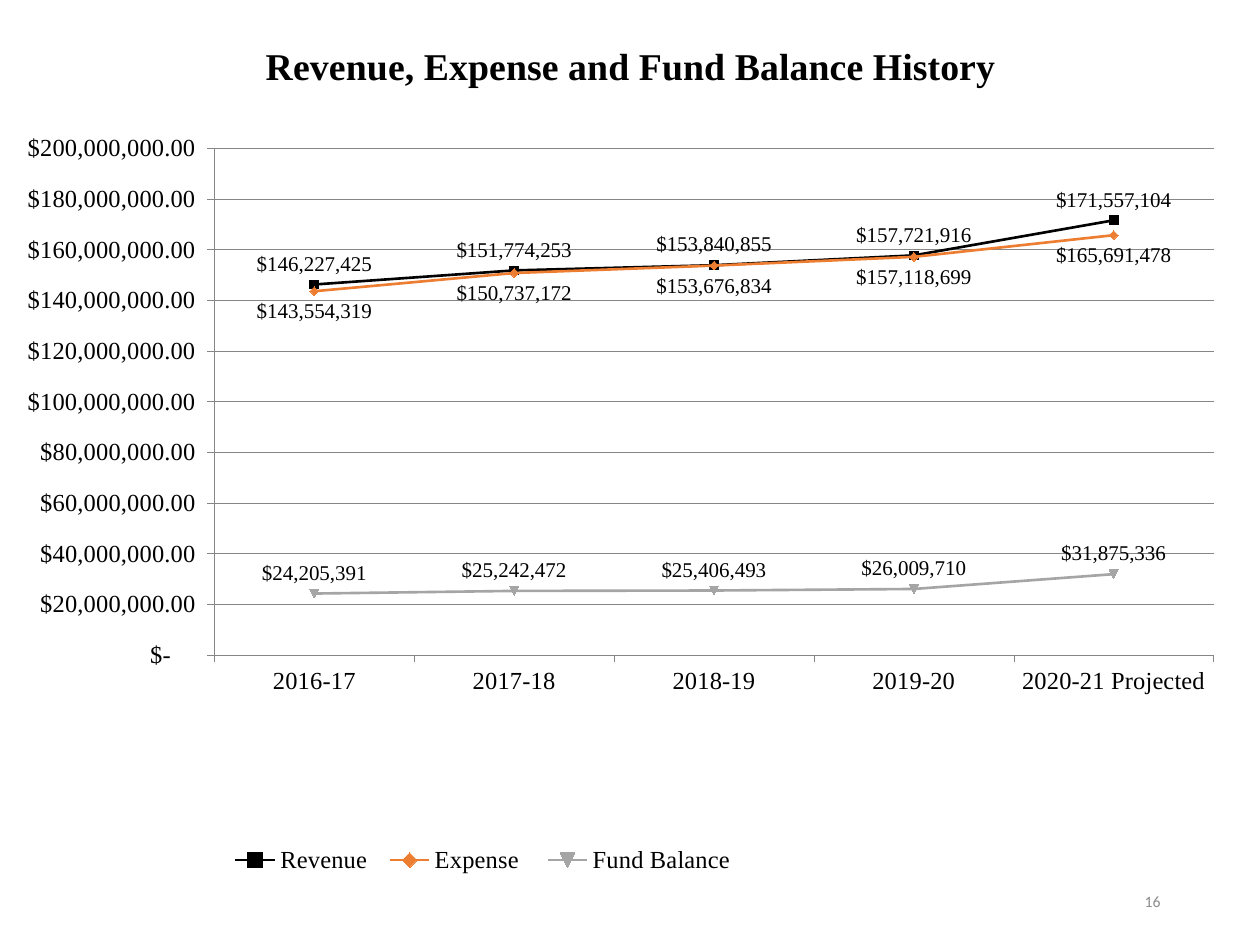
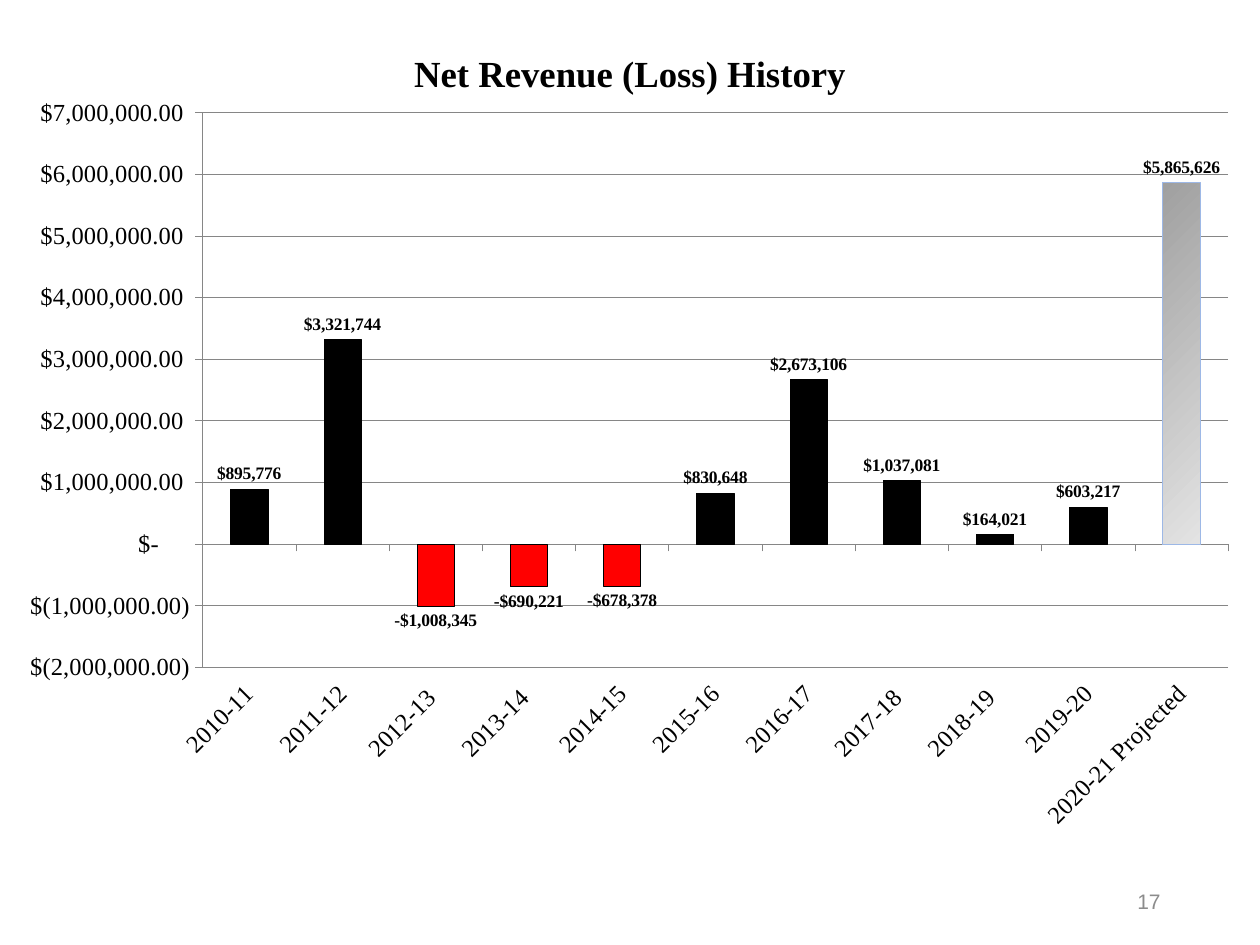
from dataclasses import dataclass
from typing import Any, Optional

from lxml.etree import SubElement
from pptx import Presentation
from pptx.chart.chart import Chart
from pptx.chart.data import CategoryChartData
from pptx.dml.color import RGBColor
from pptx.enum.chart import (
    XL_CHART_TYPE, XL_LABEL_POSITION, XL_LEGEND_POSITION, XL_TICK_LABEL_POSITION, XL_TICK_MARK)
from pptx.enum.text import MSO_ANCHOR, PP_ALIGN
from pptx.oxml.ns import qn
from pptx.slide import Slide
from pptx.util import Inches, Pt

BLACK = RGBColor(0x00, 0x00, 0x00)
ORANGE = RGBColor(0xED, 0x7D, 0x31)
GRAY = RGBColor(0xA5, 0xA5, 0xA5)
RED = RGBColor(0xFF, 0x00, 0x00)
GRID_GRAY = RGBColor(0x86, 0x86, 0x86)
NUMBER_GRAY = RGBColor(0x8C, 0x8C, 0x8C)
PROJECTED_TOP = RGBColor(0xA0, 0xA0, 0xA0)
PROJECTED_BOTTOM = RGBColor(0xE3, 0xE3, 0xE3)
PROJECTED_EDGE = RGBColor(0x9D, 0xB8, 0xE6)

SERIF = "Times New Roman"
AXIS_FORMAT = '_("$"* #,##0.00_);_("$"* \\(#,##0.00\\);_("$"* "-"??_);_(@_)'
LABEL_FORMAT = '"$"#,##0'
AXIS_FONT = {"name": SERIF, "size": Pt(14), "bold": False}


@dataclass(frozen=True)
class Measure:
    """One charted series with its colour and label side."""
    name: str
    values: tuple[int, ...]
    color: RGBColor
    label_side: XL_LABEL_POSITION


@dataclass(frozen=True)
class History:
    """One slide with a titled history chart; places are percentages of the chart."""
    title: str
    title_size: float
    title_place: tuple[float, ...]
    kind: XL_CHART_TYPE
    frame: tuple[float, float, float, float]
    plot_place: tuple[float, ...]
    years: tuple[str, ...]
    measures: tuple[Measure, ...]
    scale: dict[str, int]
    label_font: dict[str, Any]
    page: str
    page_font: dict[str, Any]
    legend_place: Optional[tuple[float, ...]] = None
    year_rotation: int = 0


HISTORIES = (
    History(
        title="Revenue, Expense and Fund Balance History",
        title_size=21.6,
        title_place=(19.4, 2.8),
        kind=XL_CHART_TYPE.LINE_MARKERS,
        frame=(0.17, 0.08, 9.67, 7.08),
        plot_place=(15.75, 15.5, 82.1, 56.8),
        years=("2016-17", "2017-18", "2018-19", "2019-20", "2020-21 Projected"),
        measures=(
            Measure("Revenue", (146227425, 151774253, 153840855, 157721916, 171557104),
                    BLACK, XL_LABEL_POSITION.ABOVE),
            Measure("Expense ", (143554319, 150737172, 153676834, 157118699, 165691478),
                    ORANGE, XL_LABEL_POSITION.BELOW),
            Measure("Fund Balance", (24205391, 25242472, 25406493, 26009710, 31875336),
                    GRAY, XL_LABEL_POSITION.ABOVE),
        ),
        scale={"minimum_scale": 0, "maximum_scale": 200_000_000, "major_unit": 20_000_000},
        label_font={"name": SERIF, "size": Pt(12), "bold": False},
        page="16",
        page_font={"name": "Calibri", "size": Pt(9)},
        legend_place=(16.3, 92.8, 43, 5),
    ),
    History(
        title="Net Revenue (Loss) History",
        title_size=21,
        title_place=(32.2, 2.8),
        kind=XL_CHART_TYPE.COLUMN_CLUSTERED,
        frame=(0.04, 0.15, 9.92, 7.08),
        plot_place=(15.8, 10.5, 82.05, 62.2),
        years=("2010-11", "2011-12", "2012-13 ", "2013-14 ", "2014-15", "2015-16",
               "2016-17", "2017-18 ", "2018-19 ", "2019-20", "2020-21 Projected"),
        measures=(
            Measure("Series 1", (895776, 3321744, -1008345, -690221, -678378, 830648,
                                 2673106, 1037081, 164021, 603217, 5865626),
                    BLACK, XL_LABEL_POSITION.OUTSIDE_END),
        ),
        scale={"minimum_scale": -2_000_000, "maximum_scale": 7_000_000,
               "major_unit": 1_000_000},
        label_font={"name": SERIF, "size": Pt(10), "bold": True},
        page="17",
        page_font={"name": "Arial", "size": Pt(12)},
        year_rotation=-45,
    ),
)


def assign(target: Any, values: dict[str, Any]) -> None:
    """Set each named attribute on the target."""
    for name, value in values.items():
        setattr(target, name, value)


def style_font(font: Any, values: dict[str, Any], color: RGBColor = BLACK) -> None:
    """Apply font values and a solid colour."""
    assign(font, values)
    font.color.rgb = color


def style_line(line: Any, color: RGBColor, width: float = 0.25) -> None:
    """Give a line its colour and width in points."""
    line.color.rgb = color
    line.width = Pt(width)


def place(element: Any, index: int, percents: tuple[float, ...], inner: bool = False) -> None:
    """Fix a chart part at percentages of the chart area."""
    for automatic in element.findall(qn("c:layout")):
        element.remove(automatic)
    layout = SubElement(element, qn("c:layout"))
    element.insert(index, layout)
    manual = SubElement(layout, qn("c:manualLayout"))
    settings = [("layoutTarget", "inner")] if inner else []
    settings += [("xMode", "edge"), ("yMode", "edge")]
    settings += [(side, f"{value / 100:.4f}") for side, value in zip("xywh", percents)]
    for tag, value in settings:
        SubElement(manual, qn(f"c:{tag}")).set("val", value)


def style_axes(chart: Chart, history: History) -> None:
    """Format both axes and the gridlines."""
    for axis in (chart.category_axis, chart.value_axis):
        assign(axis, {"major_tick_mark": XL_TICK_MARK.OUTSIDE,
                      "minor_tick_mark": XL_TICK_MARK.NONE})
        style_font(axis.tick_labels.font, AXIS_FONT)
        style_line(axis.format.line, GRID_GRAY)
    assign(chart.value_axis, {"has_major_gridlines": True, **history.scale})
    assign(chart.value_axis.tick_labels,
           {"number_format": AXIS_FORMAT, "number_format_is_linked": False})
    style_line(chart.value_axis.major_gridlines.format.line, GRID_GRAY)
    if history.year_rotation:
        years = chart.category_axis
        years.tick_label_position = XL_TICK_LABEL_POSITION.LOW
        body = years._element.find(qn("c:txPr")).find(qn("a:bodyPr"))
        body.set("rot", str(history.year_rotation * 60000))


def style_trend(series: Any, measure: Measure) -> None:
    """Draw a measure as a straight line with markers."""
    series.smooth = False
    style_line(series.format.line, measure.color, 1.5)
    series.marker.size = 5
    series.marker.format.fill.solid()
    series.marker.format.fill.fore_color.rgb = measure.color
    style_line(series.marker.format.line, measure.color)


def style_columns(series: Any, measure: Measure) -> None:
    """Colour gains, losses and the projected last year."""
    series.invert_if_negative = False
    for year, value in enumerate(measure.values):
        column = series.points[year].format
        column.fill.solid()
        column.fill.fore_color.rgb = RED if value < 0 else measure.color
        style_line(column.line, BLACK)
    projected = series.points[len(measure.values) - 1].format
    projected.fill.gradient()
    projected.fill.gradient_angle = 315
    for stop, color in zip(projected.fill.gradient_stops, (PROJECTED_TOP, PROJECTED_BOTTOM)):
        stop.color.rgb = color
    style_line(projected.line, PROJECTED_EDGE)


def style_series(series: Any, measure: Measure, history: History) -> None:
    """Format one measure and its value labels."""
    if history.kind == XL_CHART_TYPE.LINE_MARKERS:
        style_trend(series, measure)
    else:
        style_columns(series, measure)
    labels = series.data_labels
    assign(labels, {"show_value": True, "number_format": LABEL_FORMAT,
                    "number_format_is_linked": False, "position": measure.label_side})
    style_font(labels.font, history.label_font)


def add_title(chart: Chart, history: History) -> None:
    """Add the chart title in the shared style."""
    chart.has_title = True
    paragraph = chart.chart_title.text_frame.paragraphs[0]
    heading = paragraph.add_run()
    heading.text = history.title
    style_font(heading.font, {"name": SERIF, "size": Pt(history.title_size), "bold": True})
    place(chart.chart_title._element, 1, history.title_place)


def add_history_chart(slide: Slide, history: History) -> None:
    """Add the chart with its title, axes, series and legend."""
    data = CategoryChartData()
    data.categories = history.years
    for measure in history.measures:
        data.add_series(measure.name, measure.values)
    frame = (Inches(length) for length in history.frame)
    chart = slide.shapes.add_chart(history.kind, *frame, data).chart
    style_font(chart.font, {"name": "Calibri", "size": Pt(18)})
    add_title(chart, history)
    style_axes(chart, history)
    plot = chart.plots[0]
    plot.vary_by_categories = False
    if history.kind == XL_CHART_TYPE.COLUMN_CLUSTERED:
        plot.gap_width = 150
    for series, measure in zip(plot.series, history.measures):
        style_series(series, measure, history)
    place(chart._chartSpace.chart.plotArea, 0, history.plot_place, inner=True)
    chart.has_legend = history.legend_place is not None
    if history.legend_place:
        assign(chart.legend, {"position": XL_LEGEND_POSITION.BOTTOM,
                              "include_in_layout": False})
        style_font(chart.legend.font, AXIS_FONT)
        place(chart.legend._element, 1, history.legend_place)


def add_page_number(slide: Slide, history: History) -> None:
    """Add the page number at the lower right."""
    box = slide.shapes.add_textbox(Inches(7.06), Inches(6.95), Inches(2.25), Inches(0.4))
    assign(box.text_frame, {"word_wrap": True, "vertical_anchor": MSO_ANCHOR.MIDDLE})
    paragraph = box.text_frame.paragraphs[0]
    paragraph.alignment = PP_ALIGN.RIGHT
    number = paragraph.add_run()
    number.text = history.page
    style_font(number.font, history.page_font, NUMBER_GRAY)


def main() -> None:
    """Build and save the history slides."""
    deck = Presentation()
    assign(deck, {"slide_width": Inches(10), "slide_height": Inches(7.5)})
    for history in HISTORIES:
        slide = deck.slides.add_slide(deck.slide_layouts[6])
        add_page_number(slide, history)
        add_history_chart(slide, history)
    deck.save("out.pptx")


if __name__ == "__main__":
    main()
